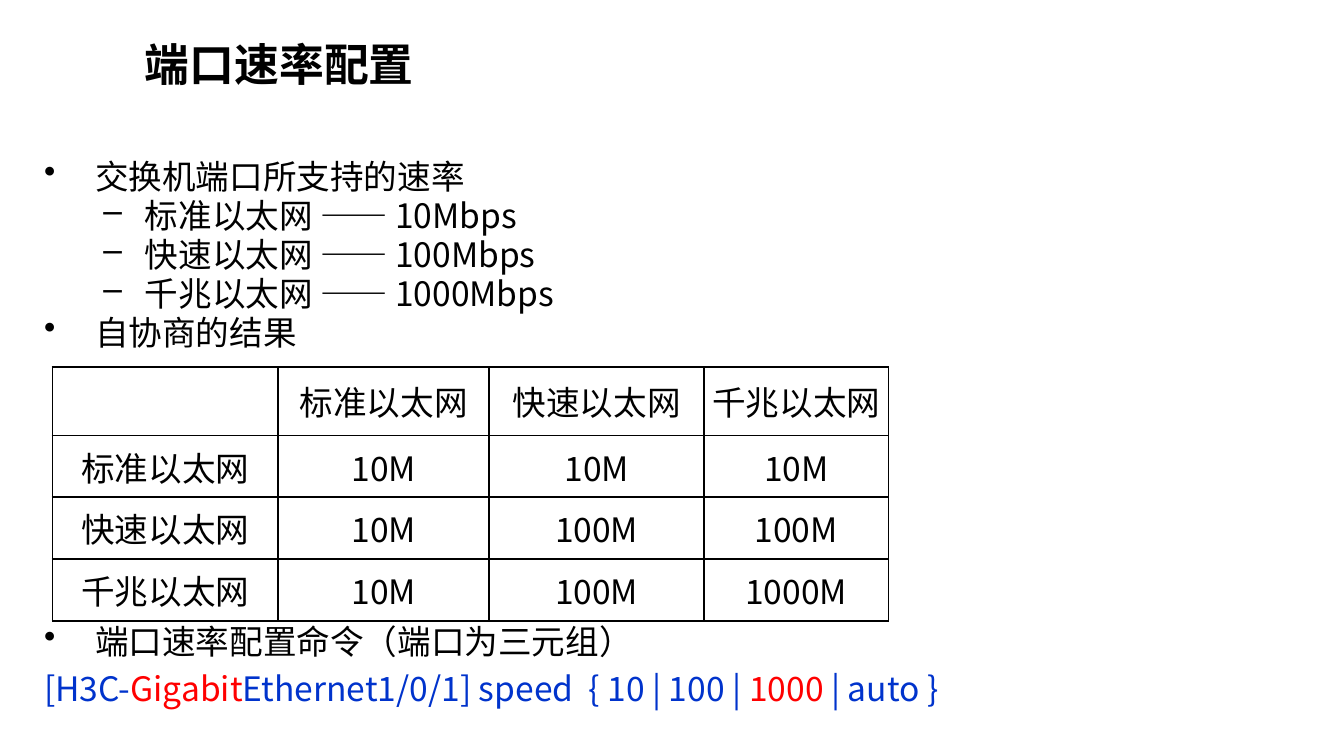
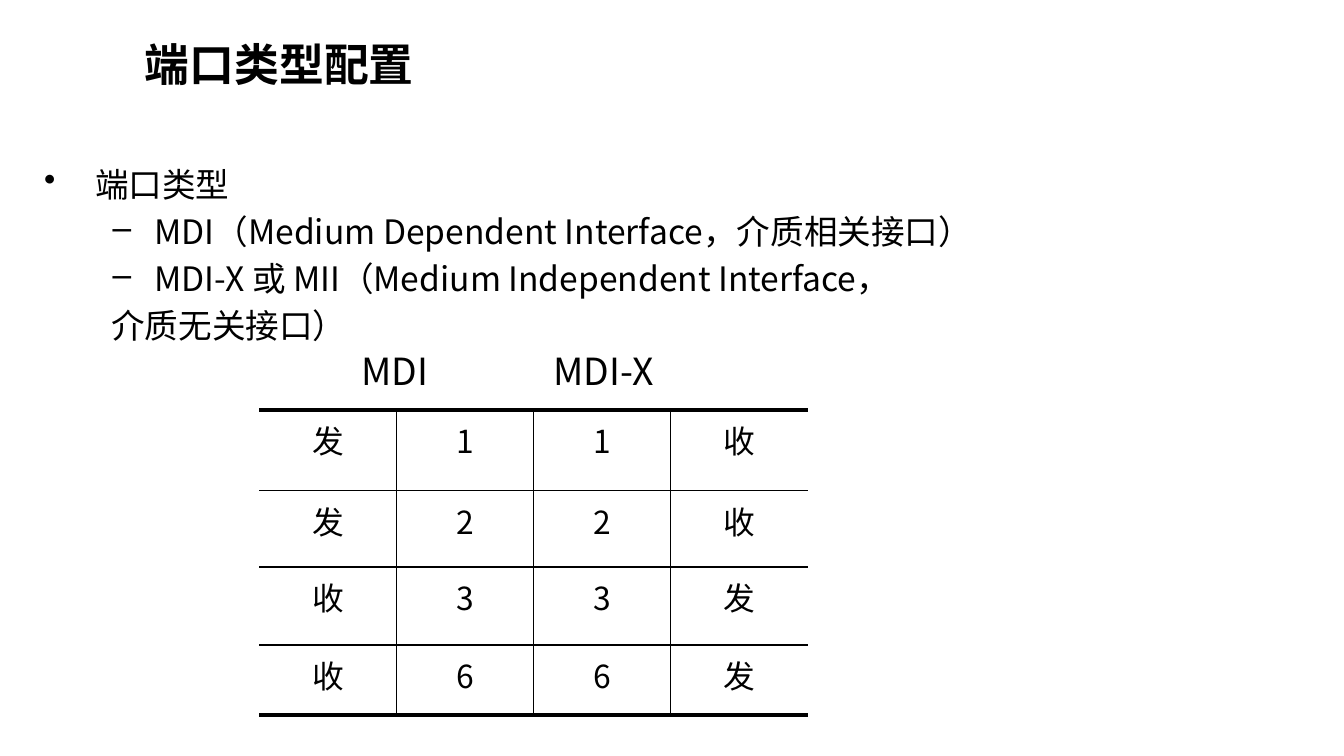
import dataclasses

import pptx
import pptx.dml.color
import pptx.enum.text
import pptx.oxml.ns
import pptx.util
from lxml import etree

SCALE = 9144


@dataclasses.dataclass(frozen=True)
class Theme:
    font: str = "Noto Sans CJK SC"
    ink: str = "000000"
    blue: str = "0033CC"
    red: str = "FF0000"
    title: int = 24
    label: int = 20
    body: int = 18
    cell: int = 17
    thin: float = 1
    thick: float = 2.25


THEME = Theme()
ALIGN = pptx.enum.text.PP_ALIGN
ANCHOR = pptx.enum.text.MSO_ANCHOR


def px(num):
    return pptx.util.Emu(num * SCALE)


def tag(name):
    return pptx.oxml.ns.qn("a:" + name)


def put_text(para, text, *, size=THEME.body, bold=False, color=THEME.ink,
             align=ALIGN.LEFT, line=None, gap=0, level=0, indent=(0, 0),
             bullet=None, tab=None):
    props = para._p.get_or_add_pPr()
    if any(indent):
        props.set("marL", str(px(indent[0])))
        props.set("indent", str(px(indent[1])))
    para.level = level
    para.alignment = align
    para.space_before = pptx.util.Pt(gap)
    if line:
        para.line_spacing = line
    if bullet:
        etree.SubElement(props, tag("buChar"), char=bullet)
    if tab:
        stops = etree.SubElement(props, tag("tabLst"))
        etree.SubElement(stops, tag("tab"), pos=str(px(tab)), algn="l")
    parts = [(text, color)] if isinstance(text, str) else text
    for words, tint in parts:
        run = para.add_run()
        run.text = words
        font = run.font
        font.size = pptx.util.Pt(size)
        font.bold = bold
        font.color.rgb = pptx.dml.color.RGBColor.from_string(tint)
        font.name = THEME.font
        etree.SubElement(run._r.get_or_add_rPr(), tag("ea"), typeface=THEME.font)


def add_box(slide, rect, items, *, anchor=ANCHOR.TOP, gap=0, **style):
    frame = slide.shapes.add_textbox(*map(px, rect)).text_frame
    frame.word_wrap = True
    frame.vertical_anchor = anchor
    for num, (text, form) in enumerate(items):
        para = frame.add_paragraph() if num else frame.paragraphs[0]
        put_text(para, text, gap=gap if num else 0, **{**style, **form})


def add_title(slide, text):
    add_box(slide, (98, 22, 654, 50), [(text, {})], anchor=ANCHOR.MIDDLE,
            size=THEME.title, bold=True, indent=(100, -100))


def point(text):
    return text, dict(bullet="•", indent=(38, -38))


def sub(text, left):
    return text, dict(bullet="–", level=1, indent=(left, -31))


def set_edge(cell, side, width):
    props = cell._tc.get_or_add_tcPr()
    edge = etree.SubElement(props, tag("ln" + side), w=str(pptx.util.Pt(width)))
    if width:
        fill = etree.SubElement(edge, tag("solidFill"))
        etree.SubElement(fill, tag("srgbClr"), val=THEME.ink)
    else:
        etree.SubElement(edge, tag("noFill"))


def add_grid(slide, spot, cols, rows, data, *, size, anchor, pad, sides, ends,
             bare_head=False):
    table = slide.shapes.add_table(
        len(rows), len(cols), *map(px, (*spot, sum(cols), sum(rows)))).table
    table.first_row = table.horz_banding = False
    for col, width in zip(table.columns, cols):
        col.width = px(width)
    for top, (row, high) in enumerate(zip(table.rows, rows)):
        row.height = px(high)
        for left, text in enumerate(data[top]):
            cell = table.cell(top, left)
            edges = {
                "L": THEME.thin if left else sides,
                "R": THEME.thin if left < len(cols) - 1 else sides,
                "T": THEME.thin if top else ends,
                "B": THEME.thin if top < len(rows) - 1 else ends,
            }
            for side, width in edges.items():
                set_edge(cell, side, width)
            cell.fill.background()
            cell.vertical_anchor = anchor
            wide, tall = (0, 0) if bare_head and top == 0 else (pad, 5)
            cell.margin_left = cell.margin_right = px(wide)
            cell.margin_top = cell.margin_bottom = px(tall)
            if text:
                put_text(cell.text_frame.paragraphs[0], text, size=size,
                         align=ALIGN.CENTER)


def add_speed(slide):
    add_title(slide, "端口速率配置")
    kinds = ["标准以太网", "快速以太网", "千兆以太网"]
    rates = [10, 100, 1000]
    add_box(slide, (23, 117, 705, 161), [
        point("交换机端口所支持的速率"),
        *(sub(f"{kind} —— {rate}Mbps", 75) for kind, rate in zip(kinds, rates)),
        point("自协商的结果"),
    ], line=0.8, gap=3.6)
    data = [["", *kinds]]
    for kind, rate in zip(kinds, rates):
        data.append([kind, *(f"{min(rate, peer)}M" for peer in rates)])
    add_grid(slide, (39, 273), [168, 157, 160, 137], [51, 46, 46, 46], data,
             size=THEME.body, anchor=ANCHOR.MIDDLE, pad=10,
             sides=THEME.thin, ends=THEME.thin, bare_head=True)
    code = [
        ("[H3C-", THEME.blue),
        ("Gigabit", THEME.red),
        ("Ethernet1/0/1] speed  { 10 | 100 | ", THEME.blue),
        ("1000 ", THEME.red),
        ("| auto }", THEME.blue),
    ]
    add_box(slide, (23, 457, 803, 87),
            [point("端口速率配置命令（端口为三元组）"), (code, {})], gap=3.6)


def add_type(slide):
    add_box(slide, (23, 117, 725, 148), [
        point("端口类型"),
        sub("MDI（Medium Dependent Interface，介质相关接口）", 82),
        sub("MDI-X 或 MII（Medium Independent Interface，", 82),
        ("介质无关接口）", dict(level=1, indent=(50, 0))),
    ], gap=3.6)
    send, take = "发", "收"
    data = [
        [send, "1", "1", take],
        [send, "2", "2", take],
        [take, "3", "3", send],
        [take, "6", "6", send],
    ]
    add_grid(slide, (193, 305), [102] * 4, [60, 57, 58, 52], data,
             size=THEME.cell, anchor=ANCHOR.TOP, pad=9,
             sides=0, ends=THEME.thick)
    add_box(slide, (259, 254, 288, 44), [("MDI\tMDI-X", dict(tab=143))],
            size=THEME.label)
    add_title(slide, "端口类型配置")


def main():
    deck = pptx.Presentation()
    deck.slide_width = px(1000)
    deck.slide_height = deck.slide_width * 9 // 16
    blank = deck.slide_layouts[6]
    for build in (add_speed, add_type):
        build(deck.slides.add_slide(blank))
    deck.save("out.pptx")


if __name__ == "__main__":
    main()
